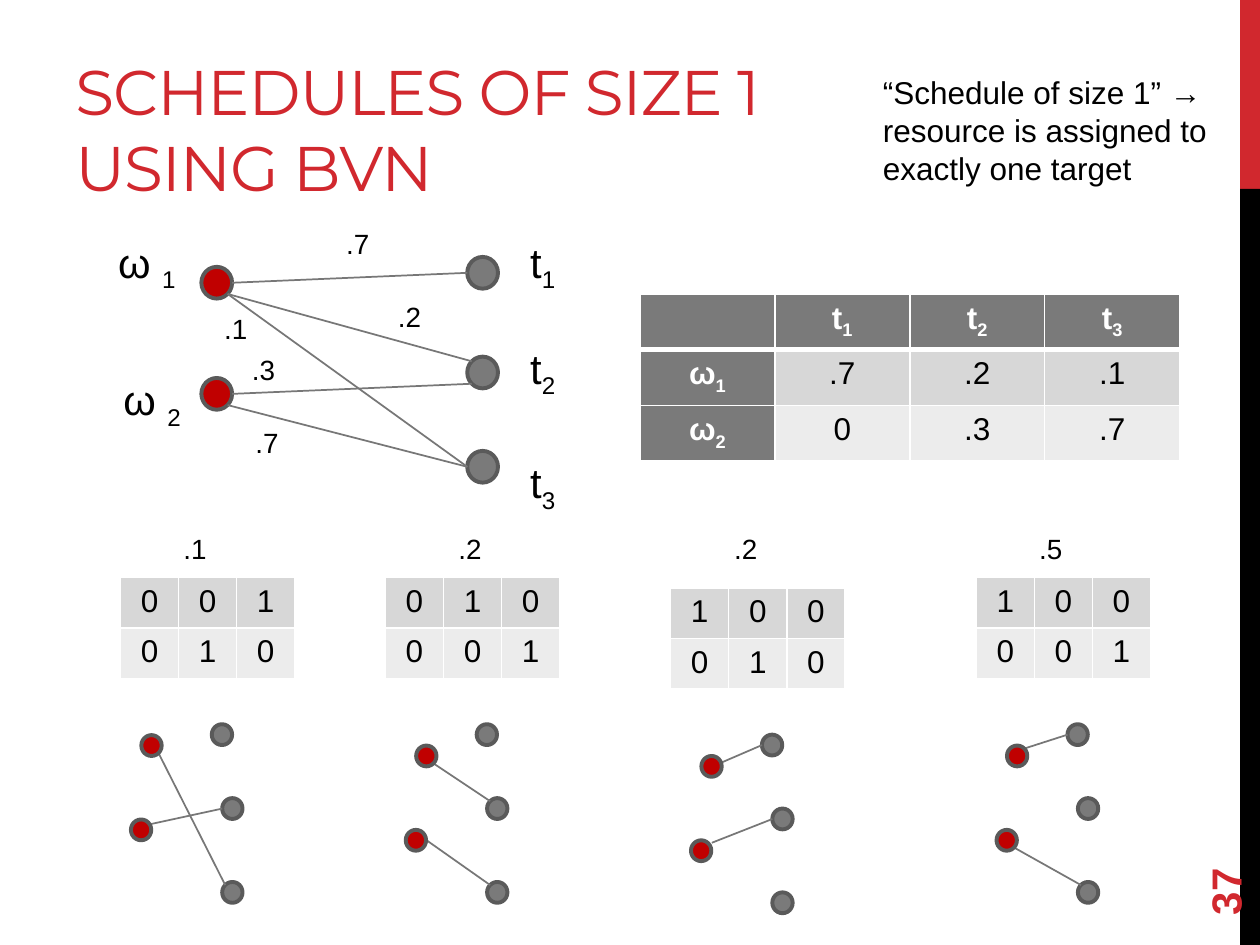
from math import copysign, sqrt

from lxml.etree import SubElement
from pptx import Presentation
from pptx.dml.color import RGBColor
from pptx.enum.shapes import MSO_CONNECTOR as CONN, MSO_SHAPE as SHAPE
from pptx.enum.text import MSO_ANCHOR as ANCHOR, PP_ALIGN as ALIGN
from pptx.oxml.ns import qn
from pptx.util import Cm, Pt

COLORS = {
    "accent": "D1282E", "black": "000000", "white": "FFFFFF",
    "resource": "C00000", "target": "7A7A7A", "outline": "5A5A5A",
    "edge": "777777", "band1": "D7D7D7", "band2": "ECECEC",
}
BIG, SMALL = (0.62, 0.64), (0.41, 0.42)
RIGHT, LEFT = (1, 0), (-1, 0)
TOP_LEFT, BOTTOM_LEFT, BOTTOM_RIGHT = (-1, -1), (-1, 1), (1, 1)


def rgb(name):
    return RGBColor.from_string(COLORS[name])


def style_paragraph(p, parts, size, color="black", bold=False, font="Arial"):
    for i, part in enumerate(parts):
        r = p.add_run()
        r.text = part
        if i:
            r._r.get_or_add_rPr().set("baseline", "-25000")
    p.font.name, p.font.size, p.font.bold = font, Pt(size), bold
    p.font.color.rgb = rgb(color)


def add_text(slide, box, parts, size, anchor=ANCHOR.TOP, **style):
    sp = slide.shapes.add_textbox(*map(Cm, box))
    tf = sp.text_frame
    tf.word_wrap = True
    tf.vertical_anchor = anchor
    style_paragraph(tf.paragraphs[0], parts, size, **style)
    return sp


def add_weight(slide, x, y, text):
    add_text(slide, (x, y, 1.45, 0.94), [text], 15.9)


def add_bar(slide, y, height, color):
    sp = slide.shapes.add_shape(SHAPE.RECTANGLE, Cm(25), Cm(y), Cm(0.4), Cm(height))
    sp.shadow.inherit = False
    sp.fill.solid()
    sp.fill.fore_color.rgb = rgb(color)
    sp.line.fill.background()


def add_node(slide, x, y, size, color):
    sp = slide.shapes.add_shape(SHAPE.OVAL, Cm(x), Cm(y), *map(Cm, size))
    sp.shadow.inherit = False
    sp.fill.solid()
    sp.fill.fore_color.rgb = rgb(color)
    sp.line.color.rgb = rgb("outline")
    sp.line.width = Pt(2.25)
    return sp


def rim(node, side):
    dx, dy = side
    scale = sqrt(dx * dx + dy * dy) * 2
    return (node.left + int(node.width * (0.5 + dx / scale)),
            node.top + int(node.height * (0.5 + dy / scale)))


def add_edge(slide, start, end):
    line = slide.shapes.add_connector(CONN.STRAIGHT, *start, *end)
    line.line.color.rgb = rgb("edge")
    line.line.width = Pt(1)
    SubElement(line._element.spPr, qn("a:effectLst"))


def style_cell(cell, parts, fill, color="black", bold=False, bottom=1):
    tcPr = cell._tc.get_or_add_tcPr()
    for tag, width in (("a:lnL", 1), ("a:lnR", 1), ("a:lnT", 1), ("a:lnB", bottom)):
        ln = SubElement(tcPr, qn(tag), w=str(Pt(width)))
        SubElement(SubElement(ln, qn("a:solidFill")), qn("a:srgbClr"), val=COLORS["white"])
    cell.fill.solid()
    cell.fill.fore_color.rgb = rgb(fill)
    p = cell.text_frame.paragraphs[0]
    p.alignment = ALIGN.CENTER
    style_paragraph(p, parts, 18, color, bold)


def add_matrix(slide, x, y, col_width, row_height, rows, headed=False):
    n_rows, n_cols = len(rows), len(rows[0])
    table = slide.shapes.add_table(n_rows, n_cols, Cm(x), Cm(y), Cm(col_width * n_cols),
                                   Cm(row_height * n_rows)).table
    table.first_row, table.horz_banding = headed, False
    table.first_col = headed
    for col in table.columns:
        col.width = Cm(col_width)
    for i, row in enumerate(rows):
        table.rows[i].height = Cm(row_height)
        for j, parts in enumerate(row):
            cell = table.cell(i, j)
            if headed and (i == 0 or j == 0):
                style_cell(cell, parts, "target", "white", True, 1 if i else 3)
            else:
                style_cell(cell, parts, "band2" if (i - headed) % 2 else "band1")


def add_main_graph(slide):
    resources = [add_node(slide, 4.06, y, BIG, "resource") for y in (5.38, 7.62)]
    targets = [add_node(slide, 9.42, y, BIG, "target") for y in (5.18, 7.19, 9.09)]
    for i, side, j, end_side in [
        (0, RIGHT, 0, LEFT), (0, BOTTOM_RIGHT, 1, TOP_LEFT), (1, BOTTOM_RIGHT, 2, LEFT),
        (1, RIGHT, 1, BOTTOM_LEFT), (0, BOTTOM_RIGHT, 2, LEFT),
    ]:
        add_edge(slide, rim(resources[i], side), rim(targets[j], end_side))
    for x, y, width, name, index in [
        (2.13, 4.65, 1.73, "ω ", "1"), (2.24, 7.42, 1.73, "ω ", "2"),
        (10.44, 4.65, 1.24, "t", "1"), (10.44, 6.78, 1.24, "t", "2"),
        (10.44, 9.09, 1.24, "t", "3"),
    ]:
        add_text(slide, (x, y, width, 1.27), [name, index], 23.8)
    for x, y, text in [(6.73, 4.45, ".7"), (4.27, 6.15, ".1"), (4.9, 8.46, ".7"),
                       (4.83, 6.99, ".3"), (7.77, 5.92, ".2")]:
        add_weight(slide, x, y, text)


def add_schedule(slide, x, y, weight_x, weight, rows, red, edges):
    add_weight(slide, weight_x, 10.59, weight)
    add_matrix(slide, x, y, 1.17, 1.02, rows)
    targets = [add_node(slide, x + dx, y + dy, SMALL, "target")
               for dx, dy in ((1.84, 2.96), (2.05, 4.45), (2.05, 6.14))]
    for start, j, side in edges:
        add_edge(slide, map(Cm, start), rim(targets[j], side))
    red_x, red_y = red
    add_node(slide, red_x, red_y + 1.7, SMALL, "resource")
    add_node(slide, red_x + 0.21, red_y, SMALL, "resource")


def main():
    prs = Presentation()
    prs.slide_width, prs.slide_height = Cm(25.4), Cm(19.05)
    slide = prs.slides.add_slide(prs.slide_layouts[6])
    add_bar(slide, 0, 3.81, "accent")
    add_bar(slide, 3.81, 15.24, "black")
    title = add_text(slide, (1.27, 0.43, 16.08, 3.81), ["SCHEDULES OF SIZE 1 USING BVN"], 36,
                     ANCHOR.BOTTOM, color="accent", font="Montserrat")
    title.text_frame.paragraphs[0].runs[0]._r.get_or_add_rPr().set("spc", "-60")

    add_main_graph(slide)
    add_matrix(slide, 12.9, 5.93, 2.72, 1.06, [
        [[], ["t", "1"], ["t", "2"], ["t", "3"]],
        [["ω", "1"], [".7"], [".2"], [".1"]],
        [["ω", "2"], ["0"], [".3"], [".7"]],
    ], headed=True)

    for schedule in [
        (2.43, 11.64, 3.45, ".1", ["001", "010"], (2.64, 14.82),
         [((3.2, 15.19), 2, TOP_LEFT), ((3.05, 16.61), 1, LEFT)]),
        (7.77, 11.64, 8.99, ".2", ["010", "001"], (8.18, 15.03),
         [((8.74, 15.39), 1, TOP_LEFT), ((8.53, 16.89), 2, TOP_LEFT)]),
        (13.52, 11.85, 14.55, ".2", ["100", "010"], (13.93, 15.24),
         [((14.27, 15.49), 0, LEFT), ((14.35, 16.99), 1, LEFT)]),
        (19.68, 11.64, 20.7, ".5", ["100", "001"], (20.09, 15.03),
         [((20.65, 15.09), 0, LEFT), ((20.45, 17.09), 2, TOP_LEFT)]),
    ]:
        add_schedule(slide, *schedule)

    add_text(slide, (17.55, 1.35, 7.85, 2.57),
             ["“Schedule of size 1” → resource is assigned to exactly one target"], 18)
    number = add_text(slide, (22.86, 16.36, 3.66, 1.02), ["37"], 24, ANCHOR.MIDDLE,
                      color="accent", bold=True)
    number.rotation = 270
    prs.save("out.pptx")


if __name__ == "__main__":
    main()
